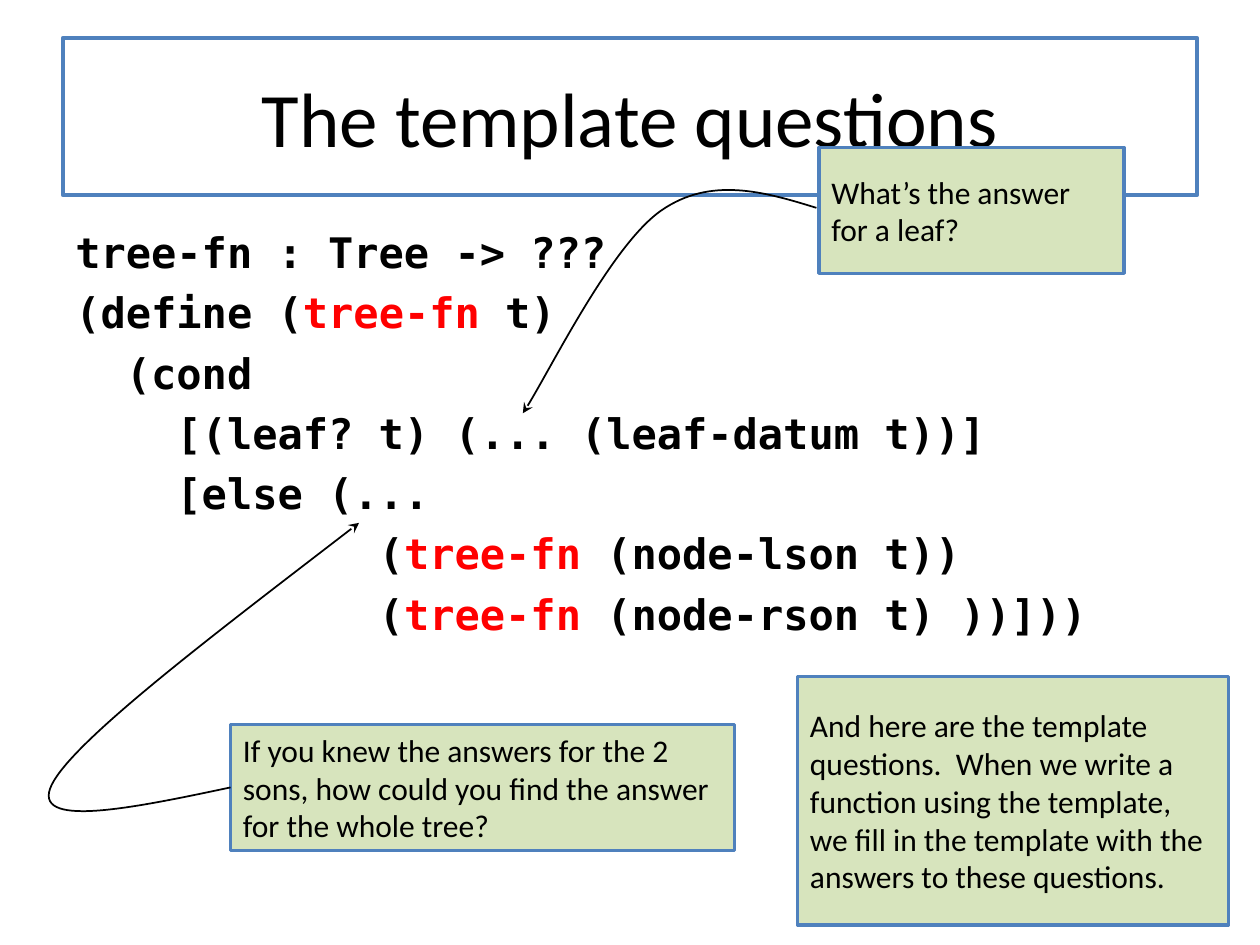
from dataclasses import dataclass

from lxml.etree import SubElement
from pptx import Presentation
from pptx.dml.color import RGBColor
from pptx.enum.shapes import MSO_SHAPE as Shape
from pptx.enum.text import MSO_ANCHOR as Anchor, PP_ALIGN as Align
from pptx.oxml.ns import qn
from pptx.slide import Slide
from pptx.util import Inches, Pt

FUNCTION = "tree-fn"
SIGNATURE = "tree-fn : Tree -> ???"
DEFINITION = [
    "(define (tree-fn t)",
    "  (cond",
    "    [(leaf? t) (... (leaf-datum t))]",
    "    [else (...",
    "            (tree-fn (node-lson t))",
    "            (tree-fn (node-rson t) ))]))",
]
LEAF_CURVE = [(6.48, 1.65), (6.06, 1.52), (5.64, 1.4), (5.25, 1.67),
              (4.86, 1.94), (4.32, 3.03), (4.15, 3.28)]
SONS_CURVE = [(1.83, 6.25), (1.03, 6.42), (0.24, 6.58), (0.41, 6.23),
              (0.58, 5.88), (1.72, 5.02), (2.85, 4.15)]


def color(value):
    return RGBColor.from_string(value)


@dataclass
class SlideBuilder:
    """Draws the elements of one slide in a shared style."""

    slide: Slide
    body_font: str = "Calibri"
    code_font: str = "DejaVu Sans Mono"
    ink: str = "000000"
    border: str = "4F81BD"
    note_fill: str = "D7E4BD"
    highlight: str = "FF0000"

    def style(self, font, name, size, value, bold=False):
        font.name, font.size, font.bold = name, Pt(size), bold
        font.color.rgb = color(value)

    def box(self, area, text, size, fill, line_width, align):
        shape = self.slide.shapes.add_shape(Shape.RECTANGLE, *map(Inches, area))
        shape.shadow.inherit = False
        shape.fill.solid()
        shape.fill.fore_color.rgb = color(fill)
        shape.line.color.rgb = color(self.border)
        shape.line.width = Pt(line_width)
        frame = shape.text_frame
        frame.word_wrap = True
        frame.vertical_anchor = Anchor.MIDDLE
        frame.text = text
        paragraph = frame.paragraphs[0]
        paragraph.alignment = align
        self.style(paragraph.runs[0].font, self.body_font, size, self.ink)
        return shape

    def title(self, area, text):
        return self.box(area, text, 44, "FFFFFF", 2.25, Align.CENTER)

    def note(self, area, text):
        return self.box(area, text, 18, self.note_fill, 2, Align.LEFT)

    def code(self, area, signature, definition):
        frame = self.slide.shapes.add_textbox(*map(Inches, area)).text_frame
        frame.word_wrap = True
        frame.text = signature
        self.style(frame.paragraphs[0].runs[0].font, self.code_font, 24, self.ink, True)
        for line in definition:
            paragraph = frame.add_paragraph()
            paragraph.space_before = Pt(5.6)
            before, name, after = line.partition(FUNCTION)
            for text, value in ((before, self.ink), (name, self.highlight), (after, self.ink)):
                if text:
                    run = paragraph.add_run()
                    run.text = text
                    self.style(run.font, self.code_font, 24, value, True)

    def curved_arrow(self, points):
        start, *rest = [(Inches(x), Inches(y)) for x, y in points]
        builder = self.slide.shapes.build_freeform(*start)
        builder.add_line_segments(rest, close=False)
        shape = builder.convert_to_shape()
        shape.shadow.inherit = False
        shape.fill.background()
        shape.line.color.rgb = color(self.ink)
        shape.line.width = Pt(1)
        SubElement(shape.line._get_or_add_ln(), qn("a:tailEnd"), type="stealth")
        path = next(shape._element.iter(qn("a:path")))
        segments = path.findall(qn("a:lnTo"))
        for first in range(0, len(segments), 3):
            curve = SubElement(path, qn("a:cubicBezTo"))
            for segment in segments[first:first + 3]:
                curve.append(segment[0])
                path.remove(segment)
        return shape

    def group(self, *shapes):
        self.slide.shapes.add_group_shape(shapes)


def main():
    presentation = Presentation()
    presentation.slide_width, presentation.slide_height = Inches(10), Inches(7.5)
    builder = SlideBuilder(presentation.slides.add_slide(presentation.slide_layouts[6]))

    builder.title((0.5, 0.3, 9, 1.25), "The template questions")
    builder.code((0.5, 1.75, 9, 4.95), SIGNATURE, DEFINITION)
    builder.group(
        builder.curved_arrow(LEAF_CURVE),
        builder.note((6.5, 1.17, 2.42, 1), "What’s the answer for a leaf?"),
    )
    builder.group(
        builder.note((1.83, 5.75, 4, 1), "If you knew the answers for the 2 sons, "
                     "how could you find the answer for the whole tree?"),
        builder.curved_arrow(SONS_CURVE),
    )
    builder.note((6.33, 5.37, 3.42, 1.97), "And here are the template questions.  "
                 "When we write a function using the template, we fill in the "
                 "template with the answers to these questions.")
    presentation.save("out.pptx")


if __name__ == "__main__":
    main()
